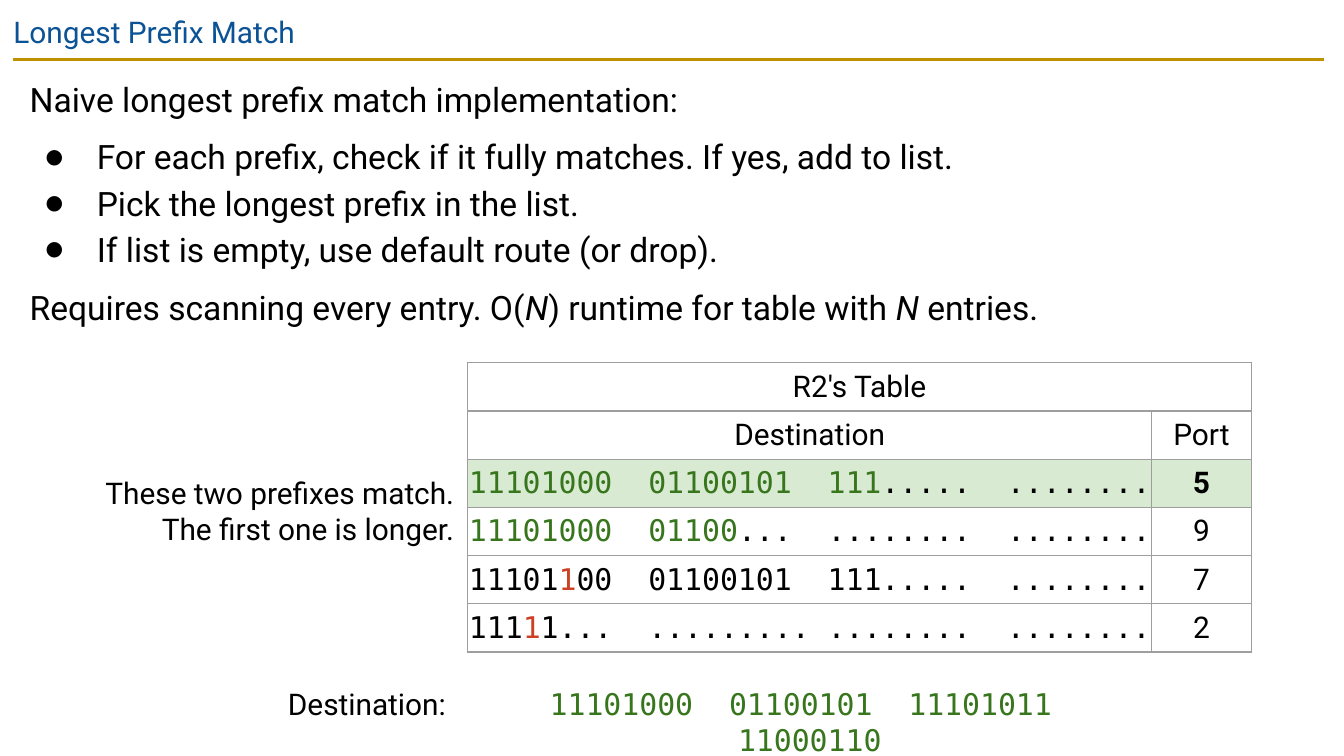
import pptx
import pptx.util
import pptx.dml.color
import pptx.enum.shapes
import pptx.enum.text
import pptx.oxml
import pptx.oxml.ns

PX = 9144
SANS = "Roboto"
MONO = "DejaVu Sans Mono"
BLACK = "000000"
GREEN = "38761D"
RED = "CC4125"
ALIGN = pptx.enum.text.PP_ALIGN
ANCHOR = pptx.enum.text.MSO_ANCHOR


def px(value):
    return pptx.util.Emu(value * PX)


def color_of(value):
    return pptx.dml.color.RGBColor.from_string(value)


def add_xml(parent, xml):
    namespace = pptx.oxml.ns.nsdecls("a")
    wrapper = pptx.oxml.parse_xml(f"<a:wrapper {namespace}>{xml}</a:wrapper>")
    parent.extend(list(wrapper))


def write(paragraph, text, size=16, font=SANS, color=BLACK, bold=False, italic=False):
    run = paragraph.add_run()
    run.text = text
    run.font.size = pptx.util.Pt(size)
    run.font.name = font
    run.font.color.rgb = color_of(color)
    run.font.bold = bold
    run.font.italic = italic


class SlideBuilder:
    border_color = "9E9E9E"
    border_width = pptx.util.Pt(0.75)
    row_height = 35

    def __init__(self, slide):
        self.slide = slide

    def place(self, shape, left, top, width, height, inset):
        shape.left, shape.top = px(left), px(top)
        shape.width, shape.height = px(width), px(height)
        frame = shape.text_frame
        frame.word_wrap = True
        frame.auto_size = pptx.enum.text.MSO_AUTO_SIZE.NONE
        frame.vertical_anchor = ANCHOR.TOP
        frame.margin_left = frame.margin_right = px(inset)
        frame.margin_top = frame.margin_bottom = px(inset)
        return frame

    def title(self, text, left, top, width, height):
        frame = self.place(self.slide.shapes.title, left, top, width, height, 10)
        paragraph = frame.paragraphs[0]
        paragraph.alignment = ALIGN.LEFT
        write(paragraph, text, color="0B5394")

    def rule(self, left, right, top):
        connector = self.slide.shapes.add_connector(
            pptx.enum.shapes.MSO_CONNECTOR.STRAIGHT, px(left), px(top), px(right), px(top))
        connector.line.color.rgb = color_of("BF9000")
        connector.line.width = pptx.util.Pt(1.5)
        add_xml(connector.element.spPr, "<a:effectLst/>")

    def body(self, items, left, top, width, height):
        frame = self.place(self.slide.placeholders[1], left, top, width, height, 10)
        for index, (runs, bulleted, space) in enumerate(items):
            paragraph = frame.add_paragraph() if index else frame.paragraphs[0]
            paragraph.alignment = ALIGN.LEFT
            paragraph.line_spacing = 1.15
            paragraph.space_before = pptx.util.Pt(space)
            self.bullet(paragraph, bulleted)
            for text, style in runs:
                write(paragraph, text, size=18, **style)

    def bullet(self, paragraph, bulleted):
        properties = paragraph._p.get_or_add_pPr()
        properties.set("marL", str(px(50 if bulleted else 0)))
        properties.set("indent", str(px(-38 if bulleted else 0)))
        if bulleted:
            add_xml(properties, f'<a:buClr><a:srgbClr val="{BLACK}"/></a:buClr>'
                    f'<a:buSzPct val="60000"/><a:buFont typeface="{SANS}"/>'
                    '<a:buChar char="●"/>')
        else:
            add_xml(properties, "<a:buNone/>")

    def label(self, text, left, top, width, height, alignment=ALIGN.CENTER, **style):
        shape = self.slide.shapes.add_textbox(px(left), px(top), px(width), px(height))
        frame = self.place(shape, left, top, width, height, 3)
        paragraph = frame.paragraphs[0]
        paragraph.alignment = alignment
        write(paragraph, text, **style)

    def table(self, rows, left, top, widths, highlighted):
        frame = self.slide.shapes.add_table(
            len(rows), len(widths), px(left), px(top),
            px(sum(widths)), px(self.row_height * len(rows)))
        table = frame.table
        table.first_row = table.horz_banding = False
        for column, width in zip(table.columns, widths):
            column.width = px(width)
        table.cell(0, 0).merge(table.cell(0, len(widths) - 1))
        for row_index, row in enumerate(rows):
            fill = "D9EAD3" if row_index == highlighted else "FFFFFF"
            for column_index, runs in enumerate(row):
                self.cell(table.cell(row_index, column_index), runs, fill)

    def cell(self, cell, runs, fill):
        cell.margin_left = cell.margin_right = 0
        cell.margin_top = cell.margin_bottom = px(5)
        cell.vertical_anchor = ANCHOR.MIDDLE
        paragraph = cell.text_frame.paragraphs[0]
        paragraph.alignment = ALIGN.CENTER
        for text, style in runs:
            write(paragraph, text, **style)
        properties = cell._tc.get_or_add_tcPr()
        for side in ("lnL", "lnR", "lnT", "lnB"):
            add_xml(properties, f'<a:{side} w="{self.border_width}"><a:solidFill>'
                    f'<a:srgbClr val="{self.border_color}"/></a:solidFill></a:{side}>')
        cell.fill.solid()
        cell.fill.fore_color.rgb = color_of(fill)


def plain(text, **style):
    return [(text, style)]


def bits(*parts):
    return [(text, {"font": MONO, "color": color}) for text, color in parts]


def main():
    presentation = pptx.Presentation()
    presentation.slide_width = px(1000)
    presentation.slide_height = presentation.slide_width * 9 // 16
    slide = presentation.slides.add_slide(presentation.slide_layouts[1])
    builder = SlideBuilder(slide)

    builder.rule(10, 985, 44)
    builder.title("Longest Prefix Match", 0, 0, 1000, 43)
    runtime = [("Requires scanning every entry. O(", {}), ("N", {"italic": True}),
               (") runtime for table with ", {}), ("N", {"italic": True}), (" entries.", {})]
    builder.body([
        (plain("Naive longest prefix match implementation:"), False, 0),
        (plain("For each prefix, check if it fully matches. If yes, add to list."), True, 6),
        (plain("Pick the longest prefix in the list."), True, 0),
        (plain("If list is empty, use default route (or drop)."), True, 0),
        (runtime, False, 6),
    ], 12, 44, 974, 220)

    builder.table([
        [plain("R2's Table"), []],
        [plain("Destination"), plain("Port")],
        [bits(("11101000  01100101  111", GREEN), (".....  ........", BLACK)),
         plain("5", bold=True)],
        [bits(("11101000  01100", GREEN), ("...  ........  ........", BLACK)), plain("9")],
        [bits(("11101", BLACK), ("1", RED), ("00  01100101  111.....  ........", BLACK)),
         plain("7")],
        [bits(("111", BLACK), ("1", RED), ("1...  ......... ........  ........", BLACK)),
         plain("2")],
    ], 348, 270, [509, 74], highlighted=2)

    builder.label("11101000  01100101  11101011  11000110", 348, 507, 509, 33,
                  font=MONO, color=GREEN)
    builder.label("Destination:", 204, 507, 138, 33)
    builder.label("These two prefixes match. The first one is longer.", 69, 350, 272, 60,
                  alignment=ALIGN.RIGHT)

    presentation.save("out.pptx")


if __name__ == "__main__":
    main()
